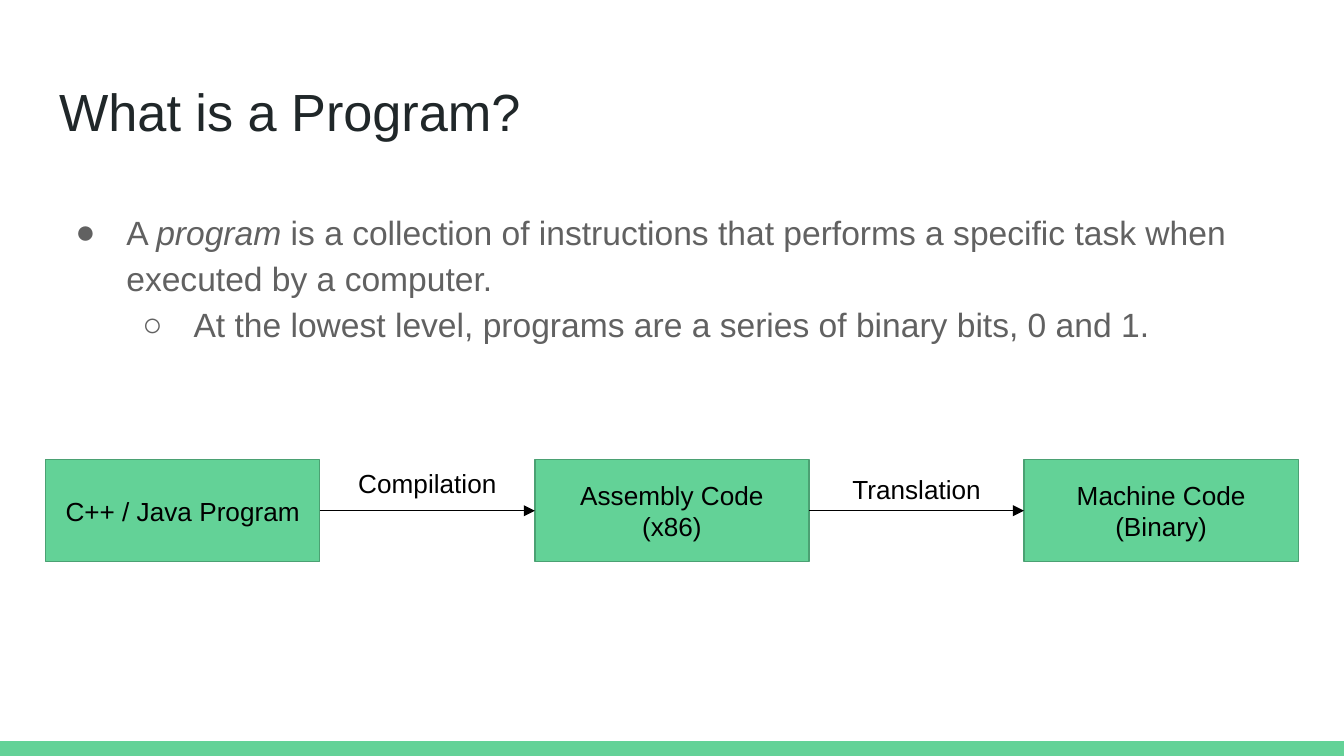
"""Build a slide that defines a program and shows its path to machine code."""
from lxml import etree
from pptx import Presentation
from pptx import util as u
from pptx.dml.color import RGBColor
from pptx.enum import shapes, text
from pptx.oxml.ns import qn

GREEN = RGBColor(0x63, 0xD2, 0x97)
DARK_GREEN = RGBColor(0x4B, 0xA1, 0x73)
INK = RGBColor(0x20, 0x27, 0x29)
GRAY = RGBColor(0x61, 0x61, 0x61)
BLACK = RGBColor(0, 0, 0)
WHITE = RGBColor(0xFF, 0xFF, 0xFF)

PAGE_WIDTH = 10
PAGE_HEIGHT = PAGE_WIDTH * 9 / 16
BAR_HEIGHT = 0.11
LEFT, WIDTH = 0.34, 9.32
STAGE_TOP, STAGE_WIDTH, STAGE_HEIGHT = 3.42, 2.04, 0.76
STAGE_STEP = 3.64
LABEL_WIDTH, LABEL_HEIGHT = 1.32, 0.42
STAGES = ["C++ / Java Program", "Assembly Code (x86)", "Machine Code (Binary)"]
LABELS = [("Compilation", 3.38), ("Translation", 3.42)]
POINTS = [
    (0, "●", ["A ", "program", " is a collection of instructions that performs "
              "a specific task when executed by a computer."]),
    (1, "○", ["At the lowest level, programs are a series of binary bits, 0 and 1."]),
]


def inches(*lengths):
    """Convert several lengths to Inches."""
    return [u.Inches(length) for length in lengths]


def place(box, left, top, width, height):
    """Move and size a box."""
    box.left, box.top, box.width, box.height = inches(left, top, width, height)


def set_frame(box, anchor):
    """Set the insets, wrapping and anchor of a box and return its frame."""
    frame = box.text_frame
    frame.margin_left = frame.margin_right = u.Inches(0.1)
    frame.margin_top = frame.margin_bottom = u.Inches(0.1)
    frame.word_wrap = True
    frame.auto_size = text.MSO_AUTO_SIZE.NONE
    frame.vertical_anchor = anchor
    return frame


def style_font(font, size, color):
    """Apply the slide's typeface with a size and colour."""
    font.name = "Arial"
    font.size = u.Pt(size)
    font.color.rgb = color


def write_line(box, words, size, color, align, anchor=text.MSO_ANCHOR.TOP):
    """Write one styled paragraph in a box."""
    frame = set_frame(box, anchor)
    frame.text = words
    paragraph = frame.paragraphs[0]
    paragraph.alignment = align
    style_font(paragraph.runs[0].font, size, color)


def add_bullet(paragraph, level, symbol):
    """Give a paragraph a hanging bullet."""
    properties = paragraph._p.get_or_add_pPr()
    properties.set("marL", str(u.Inches(0.5 * (level + 1))))
    properties.set("indent", str(u.Inches(-0.38)))
    color = etree.SubElement(properties, qn("a:buClr"))
    etree.SubElement(color, qn("a:srgbClr"), val=str(GRAY))
    etree.SubElement(properties, qn("a:buFont"), typeface="Arial")
    etree.SubElement(properties, qn("a:buChar"), char=symbol)


def write_points(box):
    """Write the bulleted definition, with the defined term in italics."""
    frame = set_frame(box, text.MSO_ANCHOR.TOP)
    for index, (level, symbol, pieces) in enumerate(POINTS):
        paragraph = frame.add_paragraph() if index else frame.paragraphs[0]
        paragraph.level = level
        add_bullet(paragraph, level, symbol)
        paragraph.line_spacing = 1.15
        paragraph.space_before = paragraph.space_after = u.Pt(0)
        for piece in pieces:
            span = paragraph.add_run()
            span.text = piece
            style_font(span.font, 18, GRAY)
            span.font.italic = piece == "program"


def add_block(page, left, top, width, height):
    """Add a flat green rectangle."""
    block = page.shapes.add_shape(
        shapes.MSO_SHAPE.RECTANGLE, *inches(left, top, width, height))
    block.shadow.inherit = False
    block.fill.solid()
    block.fill.fore_color.rgb = GREEN
    block.line.fill.background()
    return block


def add_stage(page, index, words):
    """Add one outlined stage of the flow."""
    stage = add_block(page, LEFT + index * STAGE_STEP, STAGE_TOP, STAGE_WIDTH, STAGE_HEIGHT)
    stage.line.color.rgb = DARK_GREEN
    stage.line.width = u.Pt(0.75)
    write_line(stage, words, 14, BLACK, text.PP_ALIGN.CENTER, text.MSO_ANCHOR.MIDDLE)
    return stage


def add_arrow(page, source, target):
    """Join two stages with an arrow."""
    arrow = page.shapes.add_connector(shapes.MSO_CONNECTOR.STRAIGHT, 0, 0, 0, 0)
    arrow.begin_connect(source, 3)
    arrow.end_connect(target, 1)
    arrow.line.color.rgb = BLACK
    arrow.line.width = u.Pt(0.75)
    etree.SubElement(arrow.line._get_or_add_ln(), qn("a:tailEnd"), type="triangle")
    etree.SubElement(arrow._element.spPr, qn("a:effectLst"))


def add_label(page, index, words, top):
    """Centre a label in the gap after a stage."""
    gap = STAGE_STEP - STAGE_WIDTH
    left = LEFT + index * STAGE_STEP + STAGE_WIDTH + (gap - LABEL_WIDTH) / 2
    label = page.shapes.add_textbox(*inches(left, top, LABEL_WIDTH, LABEL_HEIGHT))
    write_line(label, words, 14, BLACK, text.PP_ALIGN.CENTER)


def main():
    """Build and save the deck."""
    deck = Presentation()
    deck.slide_width, deck.slide_height = inches(PAGE_WIDTH, PAGE_HEIGHT)
    page = deck.slides.add_slide(deck.slide_layouts[1])
    page.background.fill.solid()
    page.background.fill.fore_color.rgb = WHITE

    title, body = page.placeholders
    place(title, LEFT, 0.49, WIDTH, 0.63)
    write_line(title, "What is a Program?", 28, INK, text.PP_ALIGN.LEFT)
    place(body, LEFT, 1.43, WIDTH, 1.32)
    write_points(body)

    add_block(page, 0, PAGE_HEIGHT - BAR_HEIGHT, PAGE_WIDTH, BAR_HEIGHT)
    stages = [add_stage(page, index, words) for index, words in enumerate(STAGES)]
    for source, target in zip(stages, stages[1:]):
        add_arrow(page, source, target)
    for index, (words, top) in enumerate(LABELS):
        add_label(page, index, words, top)
    deck.save("out.pptx")


if __name__ == "__main__":
    main()
